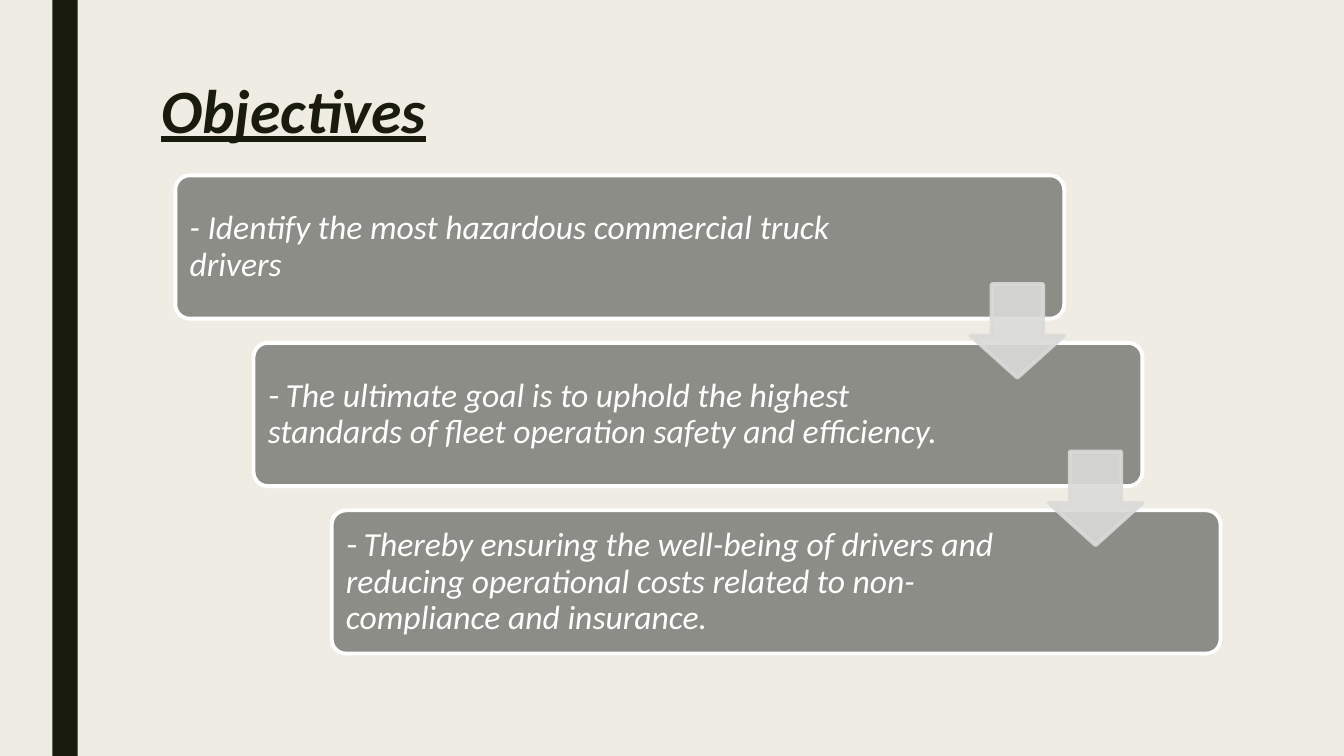
from dataclasses import dataclass

from lxml import etree
from pptx import Presentation
from pptx.dml.color import RGBColor
from pptx.enum.shapes import MSO_SHAPE
from pptx.enum.text import MSO_ANCHOR, MSO_AUTO_SIZE, PP_ALIGN
from pptx.oxml.ns import qn
from pptx.util import Cm, Pt

RECTANGLE = MSO_SHAPE.RECTANGLE
ROUNDED = MSO_SHAPE.ROUNDED_RECTANGLE
DOWN_ARROW = MSO_SHAPE.DOWN_ARROW
TOP, MIDDLE = MSO_ANCHOR.TOP, MSO_ANCHOR.MIDDLE
LEFT = PP_ALIGN.LEFT
NO_AUTOFIT = MSO_AUTO_SIZE.NONE


@dataclass(frozen=True)
class Theme:
    background: RGBColor = RGBColor.from_string("EFEDE3")
    dark: RGBColor = RGBColor.from_string("191B0E")
    card: RGBColor = RGBColor.from_string("8C8D86")
    arrow: RGBColor = RGBColor.from_string("DADBD9")
    white: RGBColor = RGBColor.from_string("FFFFFF")
    font: str = "Calibri"
    dash_font: str = "Karla"
    title_size: Pt = Pt(44)
    body_size: Pt = Pt(24)
    outline: Pt = Pt(2.75)


theme = Theme()


def add_filled_shape(kind, left, top, width, height, fill, line=None):
    shape = slide.shapes.add_shape(kind, Cm(left), Cm(top), Cm(width), Cm(height))
    shape.shadow.inherit = False
    shape.fill.solid()
    shape.fill.fore_color.rgb = fill
    if line is None:
        shape.line.fill.background()
    else:
        shape.line.color.rgb = line
        shape.line.width = theme.outline
    return shape


def format_run(run, name, size, color):
    run.font.name = name
    run.font.size = size
    run.font.color.rgb = color
    run.font.italic = True


presentation = Presentation()
presentation.slide_width = Cm(33.87)
presentation.slide_height = Cm(19.05)
slide = presentation.slides.add_slide(presentation.slide_layouts[5])
slide.background.fill.solid()
slide.background.fill.fore_color.rgb = theme.background

add_filled_shape(RECTANGLE, 1.32, 0, 0.64, 19.05, theme.dark)

title = slide.shapes.title
title.left, title.top, title.width, title.height = Cm(3.81), Cm(1.9), Cm(26.67), Cm(4.11)
title.text_frame.text = "Objectives"
title.text_frame.auto_size = NO_AUTOFIT
title.text_frame.vertical_anchor = TOP
title_paragraph = title.text_frame.paragraphs[0]
title_paragraph.alignment = LEFT
title_paragraph.line_spacing = 0.89
title_run = title_paragraph.runs[0]
format_run(title_run, theme.font, theme.title_size, theme.dark)
title_run.font.bold = True
title_run.font.underline = True

objectives = [
    ("Identify the most hazardous commercial truck drivers", theme.font, 18.49),
    ("The ultimate goal is to uphold the highest standards of fleet operation safety and efficiency.",
     theme.dash_font, 17.86),
    ("Thereby ensuring the well-being of drivers and reducing operational costs related to "
     "non-compliance and insurance.", theme.dash_font, 17.86),
]
card_left, card_top = 4.42, 4.42
step_x, step_y = 1.97, 4.22

for index, (objective, dash_font, text_width) in enumerate(objectives):
    left = card_left + index * step_x
    top = card_top + index * step_y
    card = add_filled_shape(ROUNDED, left, top, 22.4, 3.61, theme.card, theme.white)
    card.adjustments[0] = 0.1

    text_box = slide.shapes.add_textbox(Cm(left + 0.11), Cm(top + 0.11), Cm(text_width), Cm(3.4))
    text_frame = text_box.text_frame
    text_frame.word_wrap = True
    text_frame.vertical_anchor = MIDDLE
    text_frame.margin_left = text_frame.margin_right = Cm(0.25)
    text_frame.margin_top = text_frame.margin_bottom = Cm(0.25)
    paragraph = text_frame.paragraphs[0]
    paragraph.line_spacing = 0.9
    for text, font_name in (("- ", dash_font), (objective, theme.font)):
        run = paragraph.add_run()
        run.text = text
        format_run(run, font_name, theme.body_size, theme.white)

for index in range(len(objectives) - 1):
    arrow = add_filled_shape(DOWN_ARROW, 24.46 + index * step_x, 7.16 + index * step_y,
                             2.36, 2.36, theme.arrow, theme.arrow)
    arrow.adjustments[0] = 0.55
    arrow.adjustments[1] = 0.45
    for color in arrow._element.spPr.iter(qn("a:srgbClr")):
        etree.SubElement(color, qn("a:alpha"), val="90000")

presentation.save("out.pptx")
